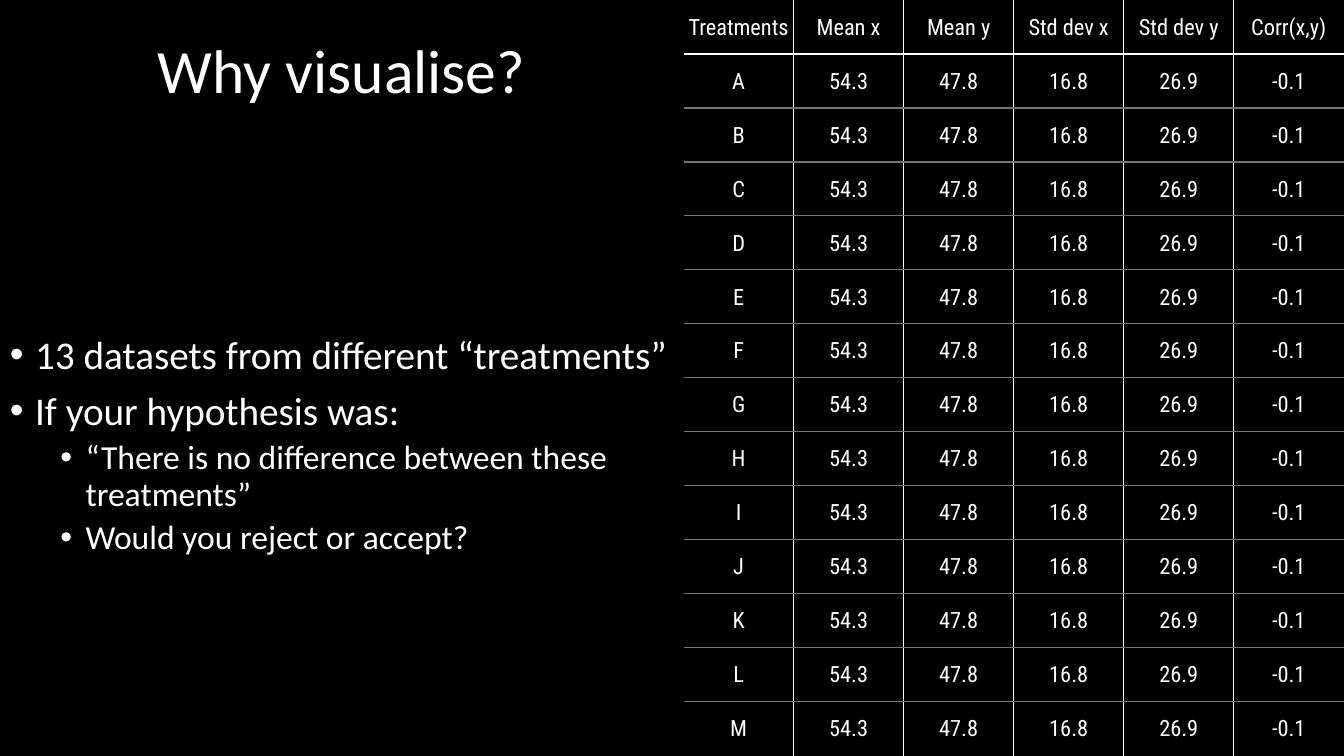
from lxml.etree import SubElement
from pptx import Presentation
from pptx.dml.color import RGBColor
from pptx.enum.text import MSO_ANCHOR as ANCHOR, PP_ALIGN as ALIGN
from pptx.oxml.ns import qn
from pptx.util import Inches, Pt

SLIDE_W, SLIDE_H = 13.33, 7.5
LEFT_W = 6.78
BLACK, WHITE, GREY = "000000", "FFFFFF", "747474"

HEADERS = ["Treatments", "Mean x", "Mean y", "Std dev x", "Std dev y", "Corr(x,y)"]
STATS = ["54.3", "47.8", "16.8", "26.9", "-0.1"]
ROWS = [HEADERS] + [[name] + STATS for name in "ABCDEFGHIJKLM"]

BULLETS = [
    (0, "13 datasets from different “treatments”"),
    (0, "If your hypothesis was:"),
    (1, "“There is no difference between these treatments”"),
    (1, "Would you reject or accept?"),
]
# Per level: font size, left indent in inches, space before in points
LEVELS = [(28, 0.25, 10), (24, 0.75, 5)]


def rgb(color):
    return RGBColor.from_string(color)


def apply(target, values):
    for name, value in values.items():
        setattr(target, name, value)


class SlideBuilder:
    text_font = "Calibri"
    table_font = "Roboto Condensed"

    def __init__(self, slide):
        self.slide = slide
        fill = slide.background.fill
        fill.solid()
        fill.fore_color.rgb = rgb(BLACK)

    def add_text(self, p, text, size, font):
        r = p.add_run()
        r.text = text
        apply(r.font, {"size": Pt(size), "name": font, "bold": False})
        r.font.color.rgb = rgb(WHITE)

    def text_frame(self, x, y, w, h):
        sp = self.slide.shapes.add_textbox(Inches(x), Inches(y), Inches(w), Inches(h))
        tf = sp.text_frame
        apply(tf, {"word_wrap": True, "vertical_anchor": ANCHOR.MIDDLE})
        return tf

    def title(self, text, box):
        p = self.text_frame(*box).paragraphs[0]
        apply(p, {"alignment": ALIGN.CENTER, "line_spacing": 0.9})
        self.add_text(p, text, 44, self.text_font)

    def bullets(self, items, box):
        tf = self.text_frame(*box)
        for i, (level, text) in enumerate(items):
            size, indent, before = LEVELS[level]
            p = tf.add_paragraph() if i else tf.paragraphs[0]
            pPr = p._p.get_or_add_pPr()
            pPr.set("marL", str(Inches(indent)))
            pPr.set("indent", str(Inches(-0.25)))
            SubElement(pPr, qn("a:buFont"), typeface="Arial")
            SubElement(pPr, qn("a:buChar"), char="•")
            apply(p, {"level": level, "line_spacing": 0.9,
                      "space_before": Pt(before if i else 0)})
            self.add_text(p, text, size, self.text_font)

    def border(self, cell, side, color):
        """Draw one side of a cell; a color of None hides it."""
        ln = SubElement(cell._tc.get_or_add_tcPr(), qn(f"a:ln{side}"), w=str(Pt(1)))
        if color is None:
            SubElement(ln, qn("a:noFill"))
        else:
            SubElement(SubElement(ln, qn("a:solidFill")), qn("a:srgbClr"), val=color)

    def table(self, rows, x, y, w, h):
        n_rows, n_cols = len(rows), len(rows[0])
        table = self.slide.shapes.add_table(
            n_rows, n_cols, Inches(x), Inches(y), Inches(w), Inches(h)).table
        apply(table, {"first_row": False, "horz_banding": False})
        for col in table.columns:
            col.width = Inches(w / n_cols)
        # Horizontal rules from top edge to bottom edge, and vertical ones likewise
        rules = [None, WHITE] + [GREY] * (n_rows - 2) + [None]
        dividers = [None] + [WHITE] * (n_cols - 1) + [None]
        for i, row in enumerate(rows):
            table.rows[i].height = Inches(h / n_rows)
            for j, text in enumerate(row):
                cell = table.cell(i, j)
                apply(cell, {"vertical_anchor": ANCHOR.MIDDLE,
                             "margin_left": Inches(0.01), "margin_right": Inches(0.01),
                             "margin_top": Inches(0.01), "margin_bottom": 0})
                sides = {"L": dividers[j], "R": dividers[j + 1],
                         "T": rules[i], "B": rules[i + 1]}
                for side, color in sides.items():
                    self.border(cell, side, color)
                cell.fill.background()
                p = cell.text_frame.paragraphs[0]
                p.alignment = ALIGN.CENTER
                self.add_text(p, text, 16, self.table_font)


def main():
    prs = Presentation()
    prs.slide_width, prs.slide_height = Inches(SLIDE_W), Inches(SLIDE_H)
    s = SlideBuilder(prs.slides.add_slide(prs.slide_layouts[6]))
    s.title("Why visualise?", (0, 0, LEFT_W, 1.45))
    s.bullets(BULLETS, (0, 1.56, LEFT_W, 5.73))
    s.table(ROWS, LEFT_W, 0, SLIDE_W - LEFT_W, SLIDE_H)
    prs.save("out.pptx")


if __name__ == "__main__":
    main()
